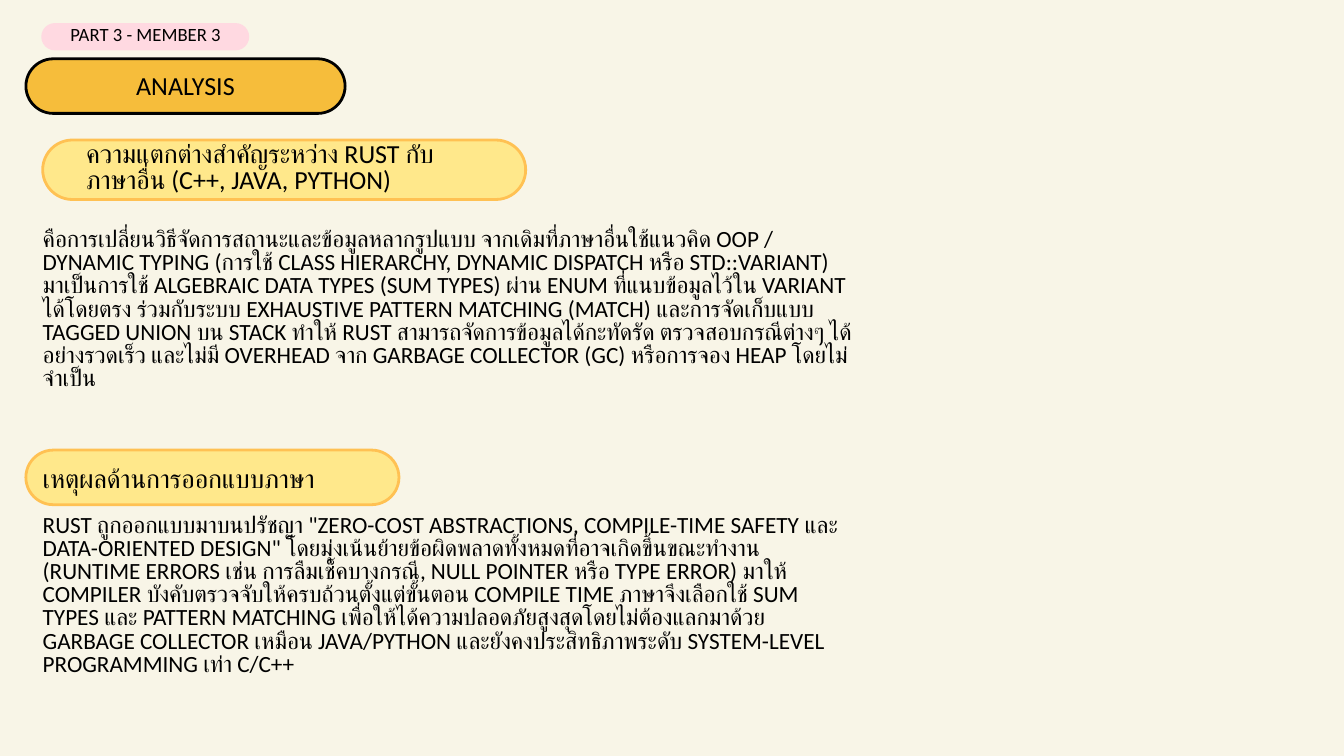
from lxml.etree import SubElement
from pptx import Presentation
from pptx.dml.color import RGBColor
from pptx.enum.shapes import MSO_SHAPE as Shape
from pptx.enum.text import MSO_ANCHOR as Anchor, MSO_AUTO_SIZE as AutoSize, PP_ALIGN as Align
from pptx.oxml.ns import qn
from pptx.util import Pt

PX = 9525  # EMU in one px: the page is 1920 by 1080 px
FONT = "Calibri"
TWO_CONTENT = 3

CREAM = RGBColor(0xF8, 0xF5, 0xE7)
BLACK = RGBColor(0x00, 0x00, 0x00)
AMBER = RGBColor(0xF6, 0xBD, 0x3B)
PINK = RGBColor(0xFF, 0xD9, 0xE1)
YELLOW = RGBColor(0xFF, 0xE8, 0x8B)
ORANGE = RGBColor(0xFF, 0xC1, 0x53)

DIFFERENCE_HEADING = "ความแตกต่างสำคัญระหว่าง RUST กับภาษาอื่น (C++, JAVA, PYTHON)"
DIFFERENCE = (
    "คือการเปลี่ยนวิธีจัดการสถานะและข้อมูลหลากรูปแบบ จากเดิมที่ภาษาอื่นใช้แนวคิด OOP / "
    "DYNAMIC TYPING (การใช้ CLASS HIERARCHY, DYNAMIC DISPATCH หรือ STD::VARIANT) "
    "มาเป็นการใช้ ALGEBRAIC DATA TYPES (SUM TYPES) ผ่าน ENUM ที่แนบข้อมูลไว้ใน VARIANT "
    "ได้โดยตรง ร่วมกับระบบ EXHAUSTIVE PATTERN MATCHING (MATCH) และการจัดเก็บแบบ "
    "TAGGED UNION บน STACK ทำให้ RUST สามารถจัดการข้อมูลได้กะทัดรัด ตรวจสอบกรณีต่างๆ "
    "ได้อย่างรวดเร็ว และไม่มี OVERHEAD จาก GARBAGE COLLECTOR (GC) หรือการจอง HEAP "
    "โดยไม่จำเป็น"
)
REASON_HEADING = "เหตุผลด้านการออกแบบภาษา"
REASON = (
    'RUST ถูกออกแบบมาบนปรัชญา "ZERO-COST ABSTRACTIONS, COMPILE-TIME SAFETY และ '
    'DATA-ORIENTED DESIGN" โดยมุ่งเน้นย้ายข้อผิดพลาดทั้งหมดที่อาจเกิดขึ้นขณะทำงาน '
    "(RUNTIME ERRORS เช่น การลืมเช็คบางกรณี, NULL POINTER หรือ TYPE ERROR) มาให้ "
    "COMPILER บังคับตรวจจับให้ครบถ้วนตั้งแต่ขั้นตอน COMPILE TIME ภาษาจึงเลือกใช้ SUM "
    "TYPES และ PATTERN MATCHING เพื่อให้ได้ความปลอดภัยสูงสุดโดยไม่ต้องแลกมาด้วย "
    "GARBAGE COLLECTOR เหมือน JAVA/PYTHON และยังคงประสิทธิภาพระดับ SYSTEM-LEVEL "
    "PROGRAMMING เท่า C/C++"
)


class SlideBuilder:
    """Holds the style and the current slide."""

    def __init__(self, page):
        self.page = page
        page.background.fill.solid()
        page.background.fill.fore_color.rgb = CREAM

    def pill(self, left, top, width, height, fill, line):
        lengths = [value * PX for value in (left, top, width, height)]
        shape = self.page.shapes.add_shape(Shape.ROUNDED_RECTANGLE, *lengths)
        shape.adjustments[0] = 0.5
        shape.shadow.inherit = False
        shape.fill.solid()
        shape.fill.fore_color.rgb = fill
        shape.line.color.rgb = line
        shape.line.width = Pt(3)

    def label(self, left, top, width, height, text, size, align=Align.LEFT):
        box = self.page.shapes.add_textbox(0, 0, PX, PX)
        self._write(box, (left, top, width, height), text, size, align)

    def placeholder(self, index, left, top, width, height, text, size, align=Align.LEFT):
        box = self.page.placeholders[index]
        box.element.getparent().append(box.element)  # bring to the front
        self._write(box, (left, top, width, height), text, size, align)

    def _write(self, box, lengths, text, size, align):
        box.left, box.top, box.width, box.height = [value * PX for value in lengths]
        frame = box.text_frame
        frame.text = text
        frame.word_wrap = True
        frame.auto_size = AutoSize.SHAPE_TO_FIT_TEXT
        frame.vertical_anchor = Anchor.TOP
        frame.margin_left = frame.margin_top = frame.margin_right = frame.margin_bottom = 0

        para = frame.paragraphs[0]
        para.alignment = align
        para.line_spacing = Pt(size)
        para.space_before = Pt(0)
        properties = para._p.get_or_add_pPr()
        properties.set("marL", "0")
        properties.set("indent", "0")
        SubElement(properties, qn("a:buNone"))

        span = para.runs[0]
        span.font.size = Pt(size)
        span.font.color.rgb = BLACK
        span.font.name = FONT
        for script in ("a:ea", "a:cs"):
            SubElement(span.font._element, qn(script), typeface=FONT)


def main():
    deck = Presentation()
    deck.slide_width, deck.slide_height = 1920 * PX, 1080 * PX
    slide = SlideBuilder(deck.slides.add_slide(deck.slide_layouts[TWO_CONTENT]))

    # Part tag and title
    slide.pill(37, 84, 456, 78, AMBER, BLACK)
    slide.pill(61, 35, 293, 35, PINK, PINK)
    slide.placeholder(0, -18, 107, 566, 39, "ANALYSIS", 27.9, Align.CENTER)
    slide.label(-18, 38, 452, 29, "PART 3 - MEMBER 3", 20, Align.CENTER)

    # Difference from other languages
    slide.pill(61, 200, 690, 85, YELLOW, ORANGE)
    slide.label(123, 204, 566, 77, DIFFERENCE_HEADING, 27.9)
    slide.placeholder(1, 61, 327, 1160, 232, DIFFERENCE, 24.9)

    # Reason behind the language design
    slide.pill(37, 643, 533, 78, YELLOW, ORANGE)
    slide.label(61, 668, 566, 39, REASON_HEADING, 27.9)
    slide.placeholder(2, 61, 735, 1160, 232, REASON, 24.9)

    deck.save("out.pptx")


if __name__ == "__main__":
    main()
